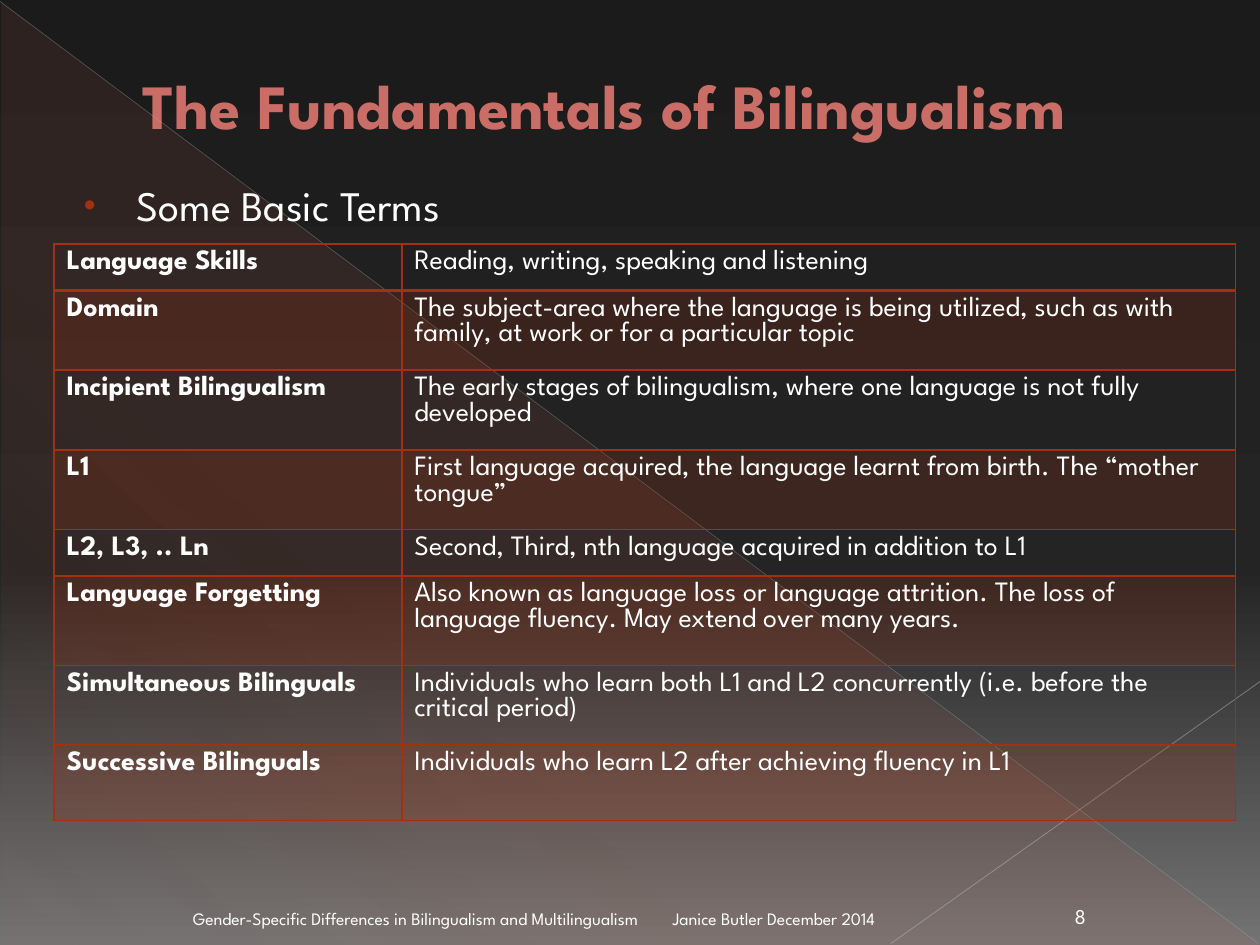
from lxml.etree import SubElement
from pptx import Presentation
from pptx.dml.color import RGBColor
from pptx.enum.shapes import MSO_CONNECTOR as CONN, MSO_SHAPE as SHAPE
from pptx.enum.text import MSO_ANCHOR as ANCHOR, MSO_AUTO_SIZE as AUTO, PP_ALIGN as ALIGN
from pptx.oxml import parse_xml
from pptx.oxml.ns import nsdecls, qn
from pptx.util import Cm, Pt

FONT = "League Spartan"
WHITE = RGBColor(0xFF, 0xFF, 0xFF)
RUST = RGBColor(0xA5, 0x30, 0x0F)
ROSE = RGBColor(0xC9, 0x6D, 0x66)
DARK_RUST = RGBColor(0x72, 0x21, 0x0A)
ORANGE = RGBColor(0xEE, 0x6D, 0x49)
SILVER = RGBColor(0xB5, 0xB5, 0xB5)
PALE = RGBColor(0xBE, 0xBE, 0xBE)
BLACK = RGBColor(0x1B, 0x1B, 0x1B)
CHARCOAL = RGBColor(0x24, 0x24, 0x24)
GREY = RGBColor(0x73, 0x73, 0x73)


def write(tf, text, size=10, color=WHITE, bold=False, align=ALIGN.LEFT, anchor=None):
    """Fill a text frame with one formatted run and return its paragraph."""
    tf.word_wrap = True
    if anchor is not None:
        tf.vertical_anchor = anchor
    p = tf.paragraphs[0]
    p.alignment = align
    r = p.add_run()
    r.text = text
    r.font.name, r.font.size, r.font.bold = FONT, Pt(size), bold
    r.font.color.rgb = color
    return p


def make_gradient(parent, stops, angle):
    """Swap the solid fill under parent for a gradient of (position, colour, opacity) stops."""
    gs = "".join(
        f'<a:gs pos="{pos * 1000}"><a:srgbClr val="{color}">'
        f'<a:alpha val="{alpha * 1000}"/></a:srgbClr></a:gs>'
        for pos, color, alpha in stops)
    solid = parent.xpath(".//a:solidFill")[0]
    solid.getparent().replace(solid, parse_xml(
        f'<a:gradFill {nsdecls("a")} rotWithShape="1"><a:gsLst>{gs}</a:gsLst>'
        f'<a:lin ang="{angle * 60000}" scaled="0"/></a:gradFill>'))


prs = Presentation()
prs.slide_width, prs.slide_height = Cm(25.4), Cm(19.05)
s = prs.slides.add_slide(prs.slide_layouts[5])

# Backdrop
s.background.fill.solid()
s.background.fill.fore_color.rgb = BLACK
make_gradient(s._element, [(0, BLACK, 100), (60, CHARCOAL, 100), (100, GREY, 100)], 90)

tri = s.shapes.add_shape(SHAPE.RIGHT_TRIANGLE, Cm(0.03), Cm(0.05), Cm(25.35), Cm(19))
tri.shadow.inherit = False
tri.line.fill.background()
tri.fill.solid()
tri.fill.fore_color.rgb = ORANGE
make_gradient(tri._element.spPr, [(0, ORANGE, 10), (70, ORANGE, 8), (100, ORANGE, 1)], 133)

for x1, y1, x2, y2, color, width, alpha in [
    (0, 0.03, 25.37, 19.02, SILVER, 0.39, 35),
    (25.4, 13.74, 17.96, 19.02, PALE, 0.47, 45),
]:
    line = s.shapes.add_connector(CONN.STRAIGHT, Cm(x1), Cm(y1), Cm(x2), Cm(y2))
    line.line.color.rgb = color
    line.line.width = Pt(width)
    spPr = line._element.spPr
    SubElement(spPr.xpath(".//a:srgbClr")[0], qn("a:alpha"), val=str(alpha * 1000))
    SubElement(spPr, qn("a:effectLst"))

# Title, raised above the middle of its box by the bottom inset
title = s.shapes.title
title.left, title.top, title.width, title.height = Cm(1.27), Cm(0.74), Cm(23.42), Cm(3.89)
tf = title.text_frame
tf.auto_size = AUTO.NONE
tf.margin_bottom = Cm(1.3)
p = write(tf, "The Fundamentals of Bilingualism", size=36, color=ROSE, bold=True,
          anchor=ANCHOR.MIDDLE)
p._p.get_or_add_pPr().set("marL", str(Cm(1.35)))
p.runs[0]._r.get_or_add_rPr().insert(0, parse_xml(
    f'<a:ln {nsdecls("a")} w="{Pt(0.5)}"><a:solidFill>'
    f'<a:srgbClr val="{DARK_RUST}"/></a:solidFill></a:ln>'))

# Bulleted subheading
sp = s.shapes.add_textbox(Cm(1.27), Cm(3.5), Cm(22.86), Cm(1.2))
p = write(sp.text_frame, "Some Basic Terms", size=24)
pPr = p._p.get_or_add_pPr()
pPr.set("marL", str(Cm(1.24)))
pPr.set("indent", str(-Cm(1.07)))
SubElement(SubElement(pPr, qn("a:buClr")), qn("a:srgbClr"), val=str(RUST))
SubElement(pPr, qn("a:buSzPct"), val="80000")
SubElement(pPr, qn("a:buFont"), typeface="Arial")
SubElement(pPr, qn("a:buChar"), char="•")

# Footer
for left, width, text, size, align in [
    (13.31, 5.92, "Janice Butler December 2014", 10, ALIGN.LEFT),
    (1.27, 11.84, "Gender-Specific Differences in Bilingualism and Multilingualism", 10, ALIGN.RIGHT),
    (21.08, 1.4, "8", 12, ALIGN.CENTER),
]:
    sp = s.shapes.add_textbox(Cm(left), Cm(18.01), Cm(width), Cm(0.84))
    write(sp.text_frame, text, size=size, align=align, anchor=ANCHOR.BOTTOM)

# Table of terms
TERMS = [
    ("Language Skills", "Reading, writing, speaking and listening", 0.87),
    ("Domain", "The subject-area where the language is being utilized, such as with family, "
     "at work or for a particular topic", 1.52),
    ("Incipient Bilingualism", "The early stages of bilingualism, where one language is not "
     "fully developed", 1.52),
    ("L1", "First language acquired, the language learnt from birth. The “mother tongue”", 1.52),
    ("L2, L3, .. Ln", "Second, Third, nth language acquired in addition to L1", 0.87),
    ("Language Forgetting", "Also known as language loss or language attrition. The loss of "
     "language fluency. May extend over many years.", 1.8),
    ("Simultaneous Bilinguals", "Individuals who learn both L1 and L2 concurrently (i.e. before "
     "the critical period)", 1.52),
    ("Successive Bilinguals", "Individuals who learn L2 after achieving fluency in L1", 1.52),
]
height = sum(row[2] for row in TERMS)
table = s.shapes.add_table(len(TERMS), 2, Cm(1.09), Cm(4.92), Cm(23.82), Cm(height)).table
table.first_row = table.horz_banding = False
table.columns[0].width, table.columns[1].width = Cm(7.01), Cm(16.81)

for i, (term, meaning, row_height) in enumerate(TERMS):
    table.rows[i].height = Cm(row_height)
    for j, text in enumerate((term, meaning)):
        cell = table.cell(i, j)
        write(cell.text_frame, text, size=16, bold=j == 0)
        tcPr = cell._tc.get_or_add_tcPr()
        for side in "LRTB":
            heavy = (i, side) in [(0, "B"), (1, "T")]
            ln = SubElement(tcPr, qn(f"a:ln{side}"), w=str(Pt(2 if heavy else 1)))
            SubElement(SubElement(ln, qn("a:solidFill")), qn("a:srgbClr"), val=str(RUST))
        if i % 2:
            cell.fill.solid()
            cell.fill.fore_color.rgb = RUST
            SubElement(tcPr.xpath("./a:solidFill/a:srgbClr")[0], qn("a:alpha"), val="20000")
        else:
            cell.fill.background()

prs.save("out.pptx")
